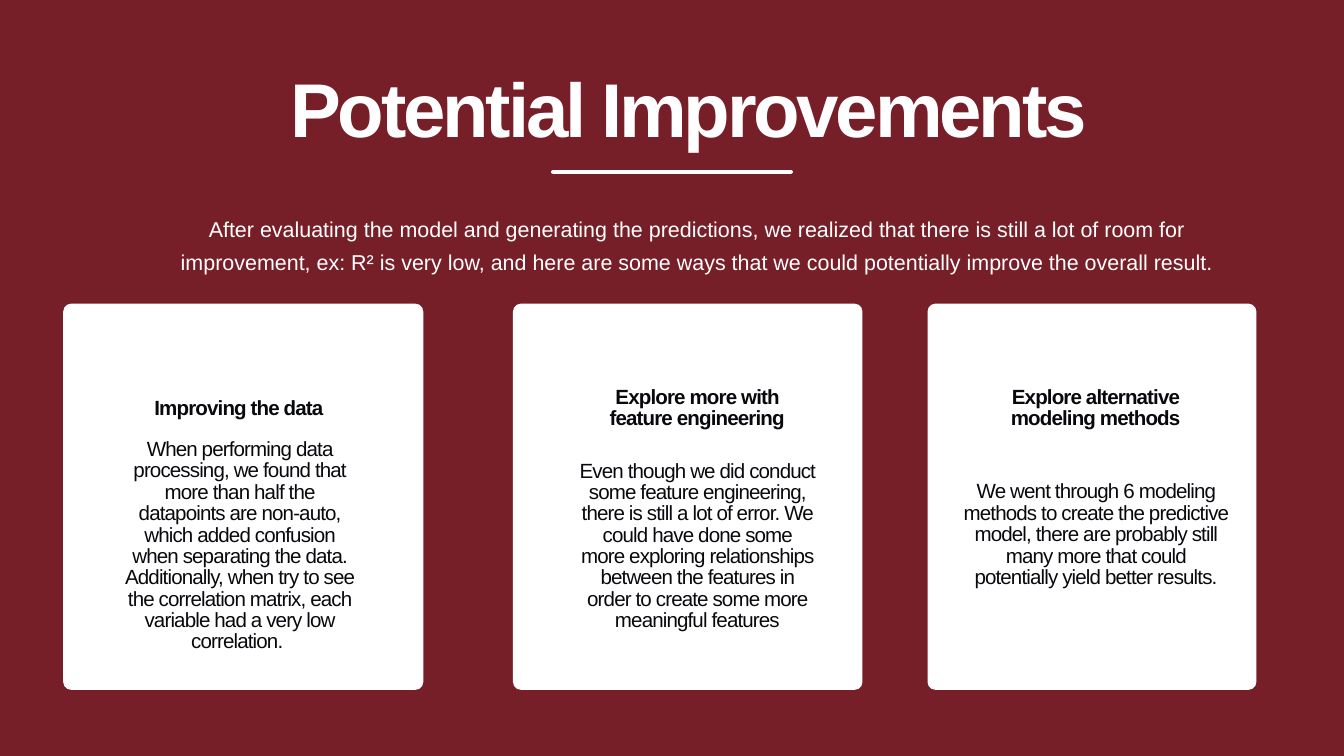
from pptx import Presentation
from pptx.dml.color import RGBColor
from pptx.enum.shapes import MSO_SHAPE
from pptx.enum.text import MSO_ANCHOR, PP_ALIGN
from pptx.util import Cm, Pt

BACKGROUND, WHITE, INK = "771F28", "FFFFFF", "08090D"
CARD_TOP, CARD_HEIGHT, CORNER = 11.48, 14.6, 0.3

# Each card: left and width, then heading and body as (text, left, top, width, height)
CARDS = [
    (2.39, 13.61,
     ("Improving the data", 5.69, 15.04, 6.68, 0.94),
     ("When performing data processing, we found that more than half the "
      "datapoints are non-auto, which added confusion when separating the data. "
      "Additionally, when try to see the correlation matrix, each variable had "
      "a very low correlation. ", 4.6, 16.61, 8.92, 8.08)),
    (19.39, 13.21,
     ("Explore more with feature engineering", 23.01, 14.63, 6.68, 1.73),
     ("Even though we did conduct some feature engineering, there is still a lot "
      "of error. We could have done some more exploring relationships between the "
      "features in order to create some more meaningful features",
      21.89, 17.42, 8.94, 6.48)),
    (35.06, 12.43,
     ("Explore alternative modeling methods", 38.07, 14.63, 6.68, 1.73),
     ("We went through 6 modeling methods to create the predictive model, there "
      "are probably still many more that could potentially yield better results.",
      36.42, 18.21, 10.01, 4.11)),
]


def color(value):
    return RGBColor.from_string(value)


def write(shape, text, size=22, fill=INK, bold=False, line=22.9, spacing=0):
    """Fill a shape with one centred paragraph."""
    frame = shape.text_frame
    frame.word_wrap = True
    frame.vertical_anchor = MSO_ANCHOR.TOP
    frame.margin_left = frame.margin_right = frame.margin_top = frame.margin_bottom = 0
    paragraph = frame.paragraphs[0]
    paragraph.alignment = PP_ALIGN.CENTER
    paragraph.line_spacing = Pt(line)
    paragraph.space_before = Pt(0)
    run = paragraph.add_run()
    run.text = text
    font = run.font
    font.name, font.size, font.bold = "Arial", Pt(size), bold
    font.color.rgb = color(fill)
    if spacing:
        run._r.get_or_add_rPr().set("spc", str(round(spacing * 100)))


class SlideBuilder:
    def __init__(self, presentation):
        self.slide = presentation.slides.add_slide(presentation.slide_layouts[5])
        background = self.slide.background.fill
        background.solid()
        background.fore_color.rgb = color(BACKGROUND)

    def title(self, text, left, top, width, height, **style):
        shape = self.slide.shapes.title
        shape.left, shape.top = Cm(left), Cm(top)
        shape.width, shape.height = Cm(width), Cm(height)
        write(shape, text, **style)

    def text(self, text, left, top, width, height, **style):
        shape = self.slide.shapes.add_textbox(Cm(left), Cm(top), Cm(width), Cm(height))
        write(shape, text, **style)

    def panel(self, left, top, width, height, radius):
        shape = self.slide.shapes.add_shape(
            MSO_SHAPE.ROUNDED_RECTANGLE, Cm(left), Cm(top), Cm(width), Cm(height))
        shape.adjustments[0] = radius / min(width, height)
        shape.shadow.inherit = False
        shape.fill.solid()
        shape.fill.fore_color.rgb = color(WHITE)
        shape.line.fill.background()


def main():
    presentation = Presentation()
    presentation.slide_width, presentation.slide_height = Cm(50.8), Cm(28.58)
    builder = SlideBuilder(presentation)

    # Title, rule and introduction
    builder.title("Potential Improvements ", 10.95, 2.77, 30.84, 3.53,
                  size=81.6, fill=WHITE, bold=True, line=84.8, spacing=-3.4)
    builder.panel(20.83, 6.43, 9.14, 0.14, 0.07)
    builder.text("After evaluating the model and generating the predictions, we realized "
                 "that there is still a lot of room for improvement, ex: R² is very low, "
                 "and here are some ways that we could potentially improve the overall "
                 "result.", 6.2, 7.87, 40.34, 2.54, size=23, fill=WHITE, line=35.6)

    # Improvement cards
    for left, width, heading, body in CARDS:
        builder.panel(left, CARD_TOP, width, CARD_HEIGHT, CORNER)
        builder.text(*heading, bold=True, spacing=-0.9)
        builder.text(*body, spacing=-0.9)

    presentation.save("out.pptx")


if __name__ == "__main__":
    main()
